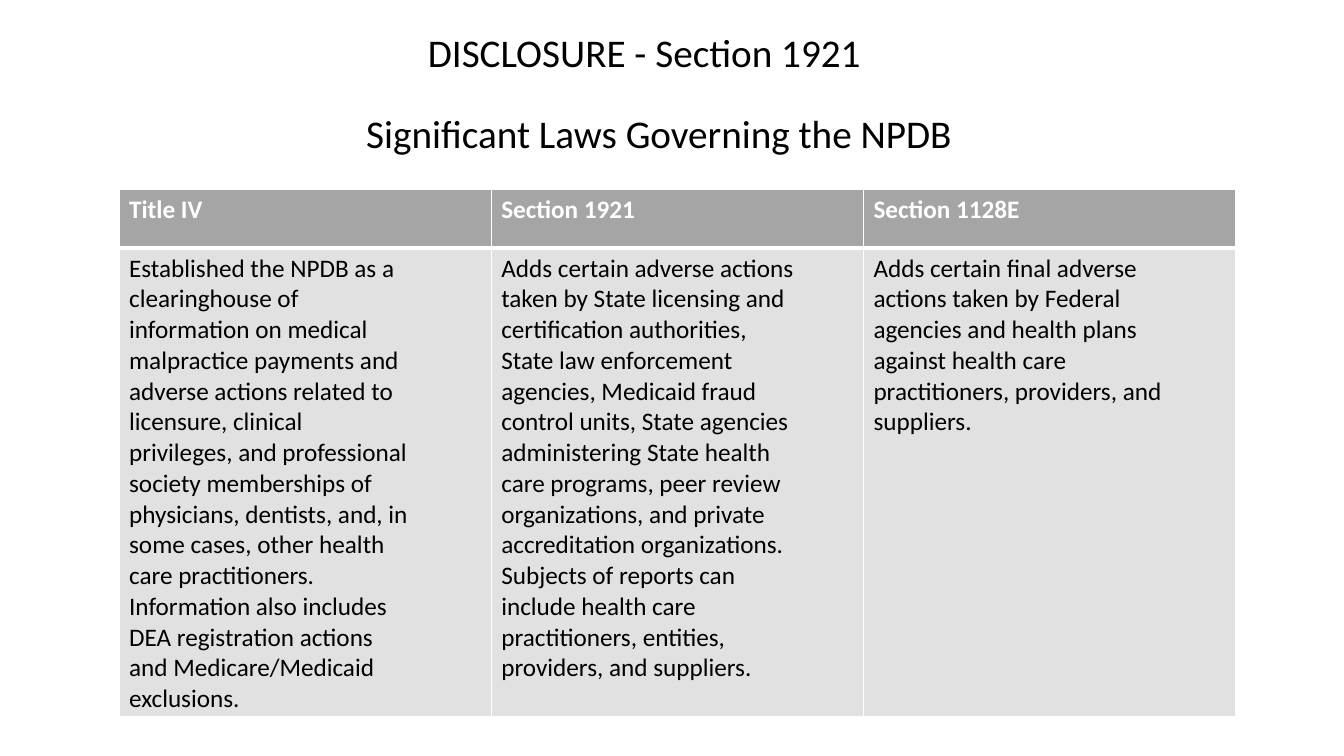
from lxml import etree
from pptx import Presentation
from pptx import util as u
from pptx.dml import color
from pptx.enum import text
from pptx.oxml import ns

FONT = "Calibri"
BLACK = color.RGBColor(0x00, 0x00, 0x00)
WHITE = color.RGBColor(0xFF, 0xFF, 0xFF)
HEADER_GREY = color.RGBColor(0xA5, 0xA5, 0xA5)
BODY_GREY = color.RGBColor(0xE1, 0xE1, 0xE1)

LAWS = {
    "Title IV": [
        "Established the NPDB as a",
        "clearinghouse of",
        "information on medical",
        "malpractice payments and",
        "adverse actions related to",
        "licensure, clinical",
        "privileges, and professional",
        "society memberships of",
        "physicians, dentists, and, in",
        "some cases, other health",
        "care practitioners.",
        "Information also includes",
        "DEA registration actions",
        "and Medicare/Medicaid",
        "exclusions.",
    ],
    "Section 1921": [
        "Adds certain adverse actions",
        "taken by State licensing and",
        "certification authorities,",
        "State law enforcement",
        "agencies, Medicaid fraud",
        "control units, State agencies",
        "administering State health",
        "care programs, peer review",
        "organizations, and private",
        "accreditation organizations.",
        "Subjects of reports can",
        "include health care",
        "practitioners, entities,",
        "providers, and suppliers.",
    ],
    "Section 1128E": [
        "Adds certain final adverse",
        "actions taken by Federal",
        "agencies and health plans",
        "against health care",
        "practitioners, providers, and",
        "suppliers.",
    ],
}


def add_span(para, words, size, ink, bold=False):
    span = para.add_run()
    span.text = words
    span.font.name = FONT
    span.font.size = u.Pt(size)
    span.font.bold = bold
    span.font.color.rgb = ink


def add_heading(page, words, left, top, width, height, anchor, space_before=0):
    box = page.shapes.add_textbox(u.Cm(left), u.Cm(top), u.Cm(width), u.Cm(height))
    frame = box.text_frame
    frame.word_wrap = True
    frame.vertical_anchor = anchor
    para = frame.paragraphs[0]
    para.alignment = text.PP_ALIGN.CENTER
    para.line_spacing = 0.9
    para.space_before = u.Pt(space_before)
    add_span(para, words, 28, BLACK)


def add_borders(cell, bottom_width):
    properties = cell._tc.get_or_add_tcPr()
    widths = {"a:lnL": 1, "a:lnR": 1, "a:lnT": 1, "a:lnB": bottom_width}
    for side, width in widths.items():
        line = etree.SubElement(properties, ns.qn(side), w=str(u.Pt(width)))
        fill = etree.SubElement(line, ns.qn("a:solidFill"))
        etree.SubElement(fill, ns.qn("a:srgbClr"), val=str(WHITE))


def fill_cell(cell, lines, ground, ink, bold=False, bottom_width=1):
    add_borders(cell, bottom_width)
    cell.fill.solid()
    cell.fill.fore_color.rgb = ground
    frame = cell.text_frame
    for index, line in enumerate(lines):
        para = frame.add_paragraph() if index else frame.paragraphs[0]
        add_span(para, line, 18, ink, bold)


def add_law_table(page, left, top, column_width, row_heights):
    frame = page.shapes.add_table(
        len(row_heights), len(LAWS), u.Cm(left), u.Cm(top),
        u.Cm(column_width * len(LAWS)), u.Cm(sum(row_heights)))
    table = frame.table
    for row, height in zip(table.rows, row_heights):
        row.height = u.Cm(height)
    for index, (law, summary) in enumerate(LAWS.items()):
        table.columns[index].width = u.Cm(column_width)
        fill_cell(table.cell(0, index), [law], HEADER_GREY, WHITE,
                  bold=True, bottom_width=3)
        fill_cell(table.cell(1, index), summary, BODY_GREY, BLACK)


def main():
    deck = Presentation()
    deck.slide_width = u.Cm(33.87)
    deck.slide_height = u.Cm(19.05)
    page = deck.slides.add_slide(deck.slide_layouts[6])
    add_heading(page, "Significant Laws Governing the NPDB",
                1.24, 2.77, 30.73, 15.32, text.MSO_ANCHOR.TOP, space_before=10)
    add_heading(page, "DISCLOSURE - Section 1921",
                1.63, 0.56, 29.21, 1.65, text.MSO_ANCHOR.MIDDLE)
    add_law_table(page, 3, 4.78, 9.38, [1.47, 11.8])
    deck.save("out.pptx")


main()
